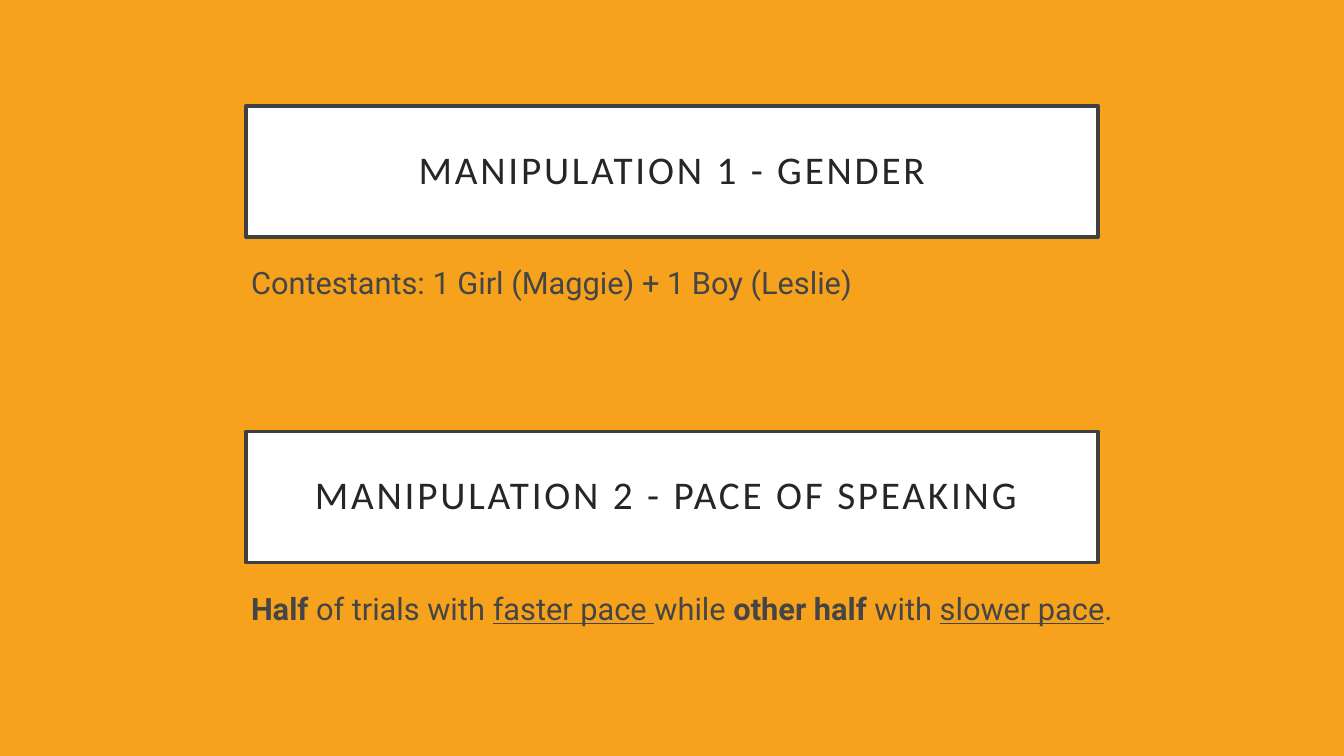
import pptx
import pptx.util
import pptx.dml.color
import pptx.enum.shapes
import pptx.enum.text

Inches = pptx.util.Inches
Pt = pptx.util.Pt


def color(value):
    return pptx.dml.color.RGBColor.from_string(value)


def style(para, font, size, ink):
    para.font.name = font
    para.font.size = Pt(size)
    para.font.color.rgb = color(ink)


deck = pptx.Presentation()
deck.slide_width = Inches(13.33)
deck.slide_height = Inches(7.5)
slide = deck.slides.add_slide(deck.slide_layouts[6])
slide.background.fill.solid()
slide.background.fill.fore_color.rgb = color("F6A21D")

left = 2.44

# Each heading: top, border width, text
heads = [
    (1.05, 3, "MANIPULATION 1 - GENDER"),
    (4.28, 2.5, "MANIPULATION 2 - PACE OF SPEAKING "),
]
for top, width, text in heads:
    box = slide.shapes.add_shape(
        pptx.enum.shapes.MSO_SHAPE.RECTANGLE,
        Inches(left), Inches(top), Inches(8.45), Inches(1.3))
    box.shadow.inherit = False
    box.fill.solid()
    box.fill.fore_color.rgb = color("FFFFFF")
    box.line.color.rgb = color("404040")
    box.line.width = Pt(width)
    frame = box.text_frame
    frame.word_wrap = True
    frame.vertical_anchor = pptx.enum.text.MSO_ANCHOR.MIDDLE
    frame.margin_left = frame.margin_right = Inches(0.2)
    frame.margin_top = frame.margin_bottom = Inches(0.2)
    para = frame.paragraphs[0]
    para.alignment = pptx.enum.text.PP_ALIGN.CENTER
    para.line_spacing = 0.9
    style(para, "Calibri", 28, "262626")
    run = para.add_run()
    run.text = text
    run.font._element.set("spc", "200")  # letter spacing, 1/100 pt

# Each detail: top, width, height, runs of (text, bold, underline)
details = [
    (2.57, 8.45, 3.39, [
        ("Contestants: 1 Girl (Maggie) + 1 Boy (Leslie)", False, False),
    ]),
    (5.8, 9.13, 1.7, [
        ("Half", True, False),
        (" of trials with ", False, False),
        ("faster pace ", False, True),
        ("while ", False, False),
        ("other half ", True, False),
        ("with ", False, False),
        ("slower pace", False, True),
        (".", False, False),
    ]),
]
for top, width, height, runs in details:
    note = slide.shapes.add_textbox(
        Inches(left), Inches(top), Inches(width), Inches(height))
    frame = note.text_frame
    frame.word_wrap = True
    frame.margin_left = frame.margin_right = Inches(0.05)
    frame.margin_top = frame.margin_bottom = Inches(0.05)
    para = frame.paragraphs[0]
    style(para, "Roboto", 22, "454545")
    for text, bold, under in runs:
        run = para.add_run()
        run.text = text
        if bold:
            run.font.bold = True
        if under:
            run.font.underline = True

deck.save("out.pptx")
